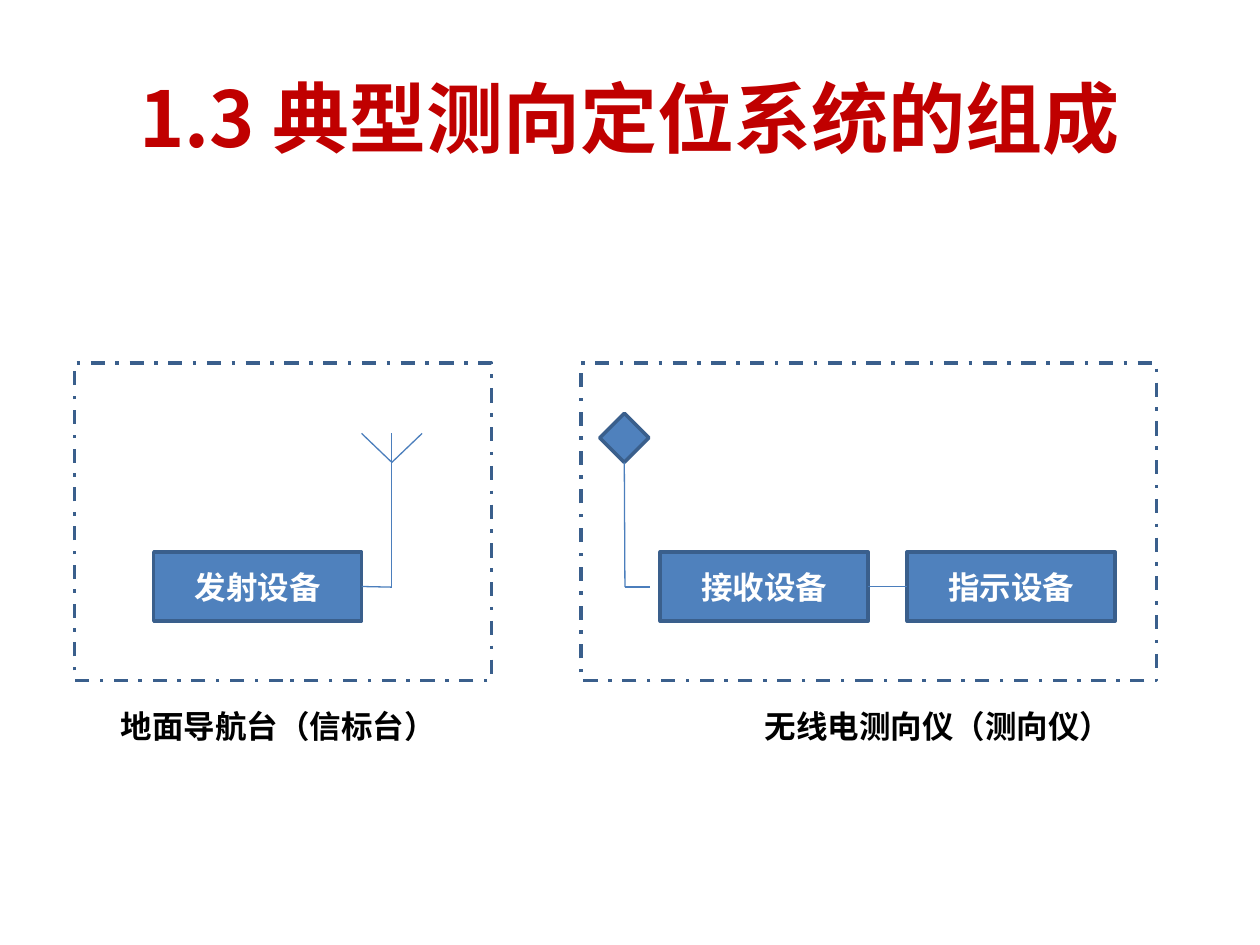
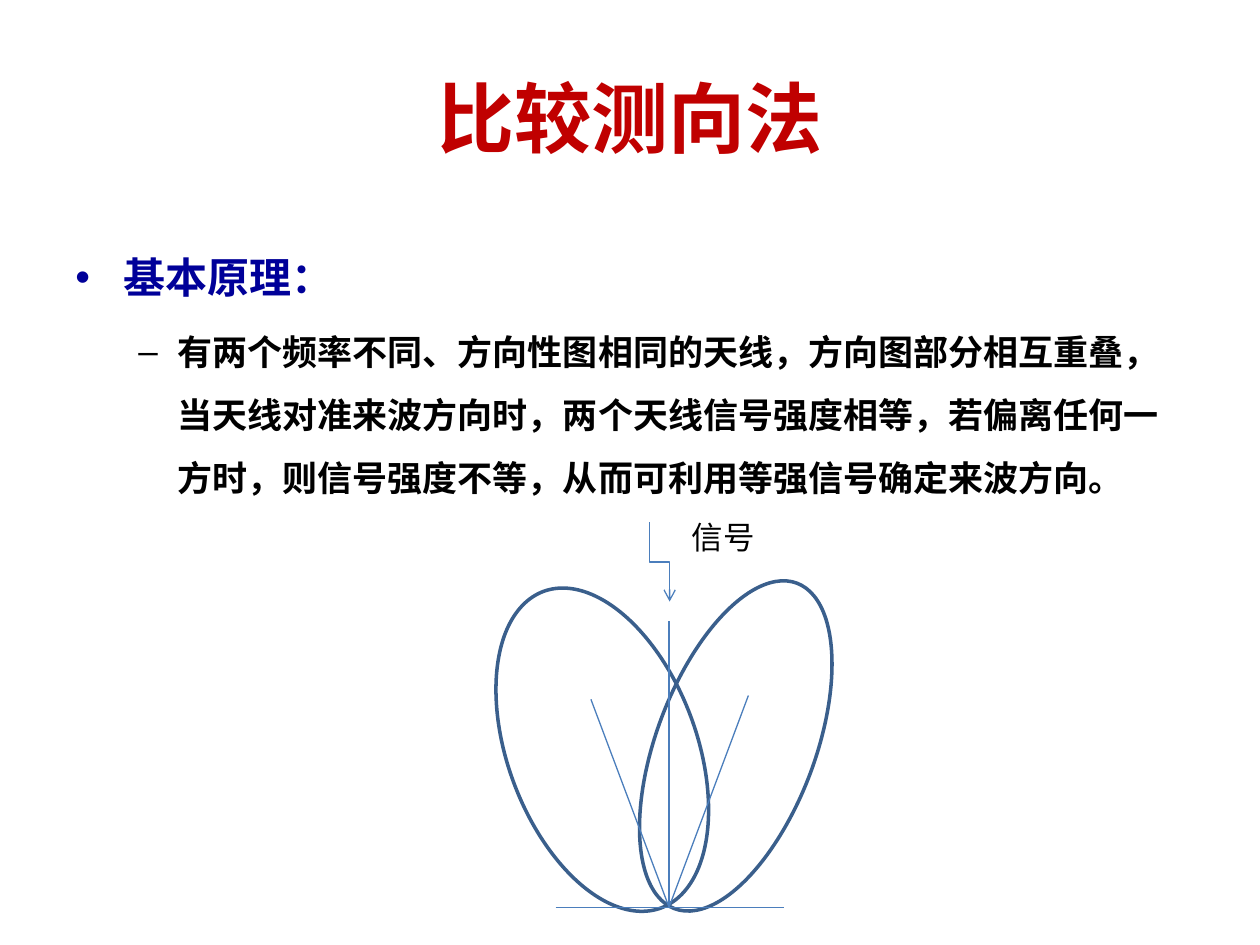
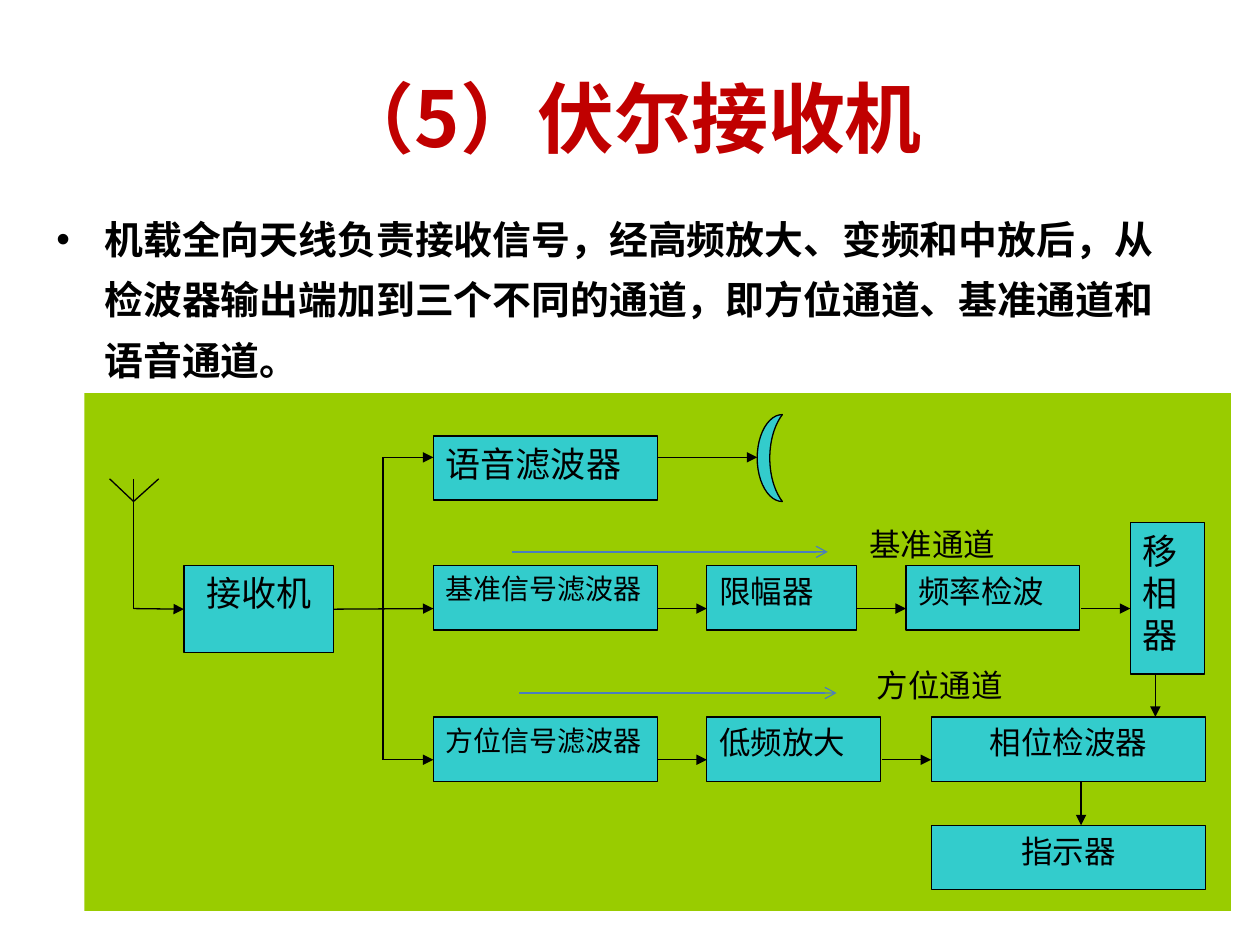
from lxml import etree
from pptx import Presentation
from pptx.dml.color import RGBColor
from pptx.enum.dml import MSO_LINE
from pptx.enum.shapes import MSO_CONNECTOR, MSO_SHAPE
from pptx.enum.text import MSO_ANCHOR, PP_ALIGN
from pptx.oxml.ns import qn
from pptx.util import Inches, Pt

RECTANGLE, DIAMOND, OVAL, MOON = MSO_SHAPE.RECTANGLE, MSO_SHAPE.DIAMOND, MSO_SHAPE.OVAL, MSO_SHAPE.MOON
STRAIGHT, ELBOW = MSO_CONNECTOR.STRAIGHT, MSO_CONNECTOR.ELBOW
LEFT, CENTER, JUSTIFY = PP_ALIGN.LEFT, PP_ALIGN.CENTER, PP_ALIGN.JUSTIFY
TOP, MIDDLE = MSO_ANCHOR.TOP, MSO_ANCHOR.MIDDLE
DASH_DOT = MSO_LINE.DASH_DOT
BOTTOM_SIDE, LEFT_SIDE, RIGHT_SIDE = 2, 1, 3


class Theme:
    title_red = RGBColor(0xC0, 0x00, 0x00)
    heading_blue = RGBColor(0x00, 0x00, 0x99)
    black = RGBColor(0x00, 0x00, 0x00)
    white = RGBColor(0xFF, 0xFF, 0xFF)
    box_blue = RGBColor(0x4F, 0x81, 0xBD)
    border_blue = RGBColor(0x3A, 0x5F, 0x8C)
    line_blue = RGBColor(0x4B, 0x7E, 0xBC)
    panel_green = RGBColor(0x99, 0xCC, 0x00)
    block_cyan = RGBColor(0x33, 0xCC, 0xCC)
    chinese, latin, serif = "Noto Sans CJK SC", "Calibri", "Times New Roman"
    title_size, heading_size, summary_size, detail_size = 44, 24, 22.2, 20
    large_size, label_size, small_size = 20, 18, 16
    thin, thick = Pt(0.75), Pt(2)


def add_item(slide, preset, box, text="", fill=None, border=None, width=Theme.thick, size=Theme.label_size,
             font=Theme.chinese, color=Theme.black, bold=False, align=LEFT, anchor=TOP):
    """Add a preset shape, or an unwrapped text box when preset is None."""
    position = [Inches(length) for length in box]
    if preset is None:
        shape = slide.shapes.add_textbox(*position)
    else:
        shape = slide.shapes.add_shape(preset, *position)
        shape.shadow.inherit = False
        if fill is None:
            shape.fill.background()
        else:
            shape.fill.solid()
            shape.fill.fore_color.rgb = fill
        if border is None:
            shape.line.fill.background()
        else:
            shape.line.color.rgb = border
            shape.line.width = width
    if text:
        frame = shape.text_frame
        frame.word_wrap = preset is not None
        frame.vertical_anchor = anchor
        frame.text = text
        frame.paragraphs[0].alignment = align
        run_font = frame.paragraphs[0].runs[0].font
        run_font.size, run_font.bold, run_font.name = Pt(size), bold, font
        run_font.color.rgb = color
    return shape


def add_line(slide, start, end, color=Theme.line_blue, head=None, kind=STRAIGHT, begin=None, finish=None):
    """Add a connector; begin and finish are (shape, side) pairs to join."""
    line = slide.shapes.add_connector(kind, *[Inches(length) for length in (*start, *end)])
    if begin:
        line.begin_connect(*begin)
    if finish:
        line.end_connect(*finish)
    line.line.color.rgb = color
    line.line.width = Theme.thin
    properties = line._element.spPr
    if head:
        etree.SubElement(properties.find(qn("a:ln")), qn("a:tailEnd"), type=head)
    etree.SubElement(properties, qn("a:effectLst"))
    return line


presentation = Presentation()
presentation.slide_width, presentation.slide_height = Inches(10), Inches(7.5)

slides = []
for title_text in ("1.3 典型测向定位系统的组成", "比较测向法", "（5）伏尔接收机"):
    slide = presentation.slides.add_slide(presentation.slide_layouts[5])
    title = slide.shapes.title
    title.left, title.top, title.width, title.height = [Inches(length) for length in (0.5, 0.3, 9, 1.25)]
    title.text_frame.text = title_text
    title.text_frame.vertical_anchor = MIDDLE
    title.text_frame.paragraphs[0].alignment = CENTER
    title_font = title.text_frame.paragraphs[0].runs[0].font
    title_font.size, title_font.bold, title_font.name = Pt(Theme.title_size), True, Theme.chinese
    title_font.color.rgb = Theme.title_red
    slides.append(slide)
system_slide, comparison_slide, receiver_slide = slides

# Bulleted text: (text, size, colour, left margin, hanging indent, bullet, line spacing)
bodies = [
    (comparison_slide, (0.5, 1.75, 9, 4.95), [
        ("基本原理：", Theme.heading_size, Theme.heading_blue, 0.38, 0.38, "•", 1.5),
        ("有两个频率不同、方向性图相同的天线，方向图部分相互重叠，当天线对准来波方向时，"
         "两个天线信号强度相等，若偏离任何一方时，则信号强度不等，从而可利用等强信号确定来波方向。",
         Theme.detail_size, Theme.black, 0.81, 0.31, "–", 1.5)]),
    (receiver_slide, (0.35, 1.55, 9.13, 1.54), [
        ("机载全向天线负责接收信号，经高频放大、变频和中放后，从检波器输出端加到三个不同的通道，"
         "即方位通道、基准通道和语音通道。",
         Theme.summary_size, Theme.black, 0.38, 0.38, "•", 1.3)]),
]
for slide, box, paragraphs in bodies:
    frame = slide.shapes.add_textbox(*[Inches(length) for length in box]).text_frame
    frame.word_wrap = True
    frame.text = "\n".join(entry[0] for entry in paragraphs)
    for paragraph, (_, size, color, margin, hanging, bullet, spacing) in zip(frame.paragraphs, paragraphs):
        paragraph.line_spacing = spacing
        paragraph.space_before = Pt(size * 0.2)
        font = paragraph.runs[0].font
        font.size, font.bold, font.name = Pt(size), True, Theme.chinese
        font.color.rgb = color
        properties = paragraph._p.get_or_add_pPr()
        properties.set("marL", str(Inches(margin)))
        properties.set("indent", str(-Inches(hanging)))
        etree.SubElement(properties, qn("a:buFont"), typeface="Arial")
        etree.SubElement(properties, qn("a:buChar"), char=bullet)

# Slide 1: ground station and direction finder
for left, width, caption, caption_left, caption_width in (
        (0.59, 3.31, "地面导航台（信标台）", 0.86, 2.73),
        (4.61, 4.57, "无线电测向仪（测向仪）", 5.97, 2.98)):
    station = add_item(system_slide, RECTANGLE, (left, 2.88, width, 2.52), border=Theme.border_blue)
    station.line.dash_style = DASH_DOT
    add_item(system_slide, None, (caption_left, 5.56, caption_width, 0.4), caption, bold=True)

transmitter, receiver, indicator = [
    add_item(system_slide, RECTANGLE, (left, 4.38, 1.65, 0.55), text, Theme.box_blue, Theme.border_blue,
             color=Theme.white, bold=True, align=CENTER, anchor=MIDDLE)
    for left, text in ((1.22, "发射设备"), (5.24, "接收设备"), (7.2, "指示设备"))]
loop_antenna = add_item(system_slide, DIAMOND, (4.76, 3.28, 0.39, 0.39), fill=Theme.box_blue,
                        border=Theme.border_blue)

add_line(system_slide, (2.87, 4.66), (3.11, 4.66), begin=(transmitter, RIGHT_SIDE))
add_line(system_slide, (3.11, 4.66), (3.11, 3.44))
for tip in (2.87, 3.35):
    add_line(system_slide, (3.11, 3.67), (tip, 3.44))
add_line(system_slide, (4.96, 3.67), (4.96, 4.66), begin=(loop_antenna, BOTTOM_SIDE))
add_line(system_slide, (4.96, 4.66), (5.16, 4.66))
add_line(system_slide, (6.89, 4.66), (7.2, 4.66), begin=(receiver, RIGHT_SIDE), finish=(indicator, LEFT_SIDE))

# Slide 2: two overlapping antenna patterns
for box, rotation in (((3.44, 5.2, 2.68, 1.5), 69.6), ((4.46, 5.29, 2.76, 1.26), 290.6)):
    add_item(comparison_slide, OVAL, box, border=Theme.border_blue).rotation = rotation
antenna = (5.31, 7.2)
add_line(comparison_slide, (4.41, 7.2), (6.22, 7.2))
for axis_end in ((5.31, 4.93), (4.69, 5.55), (5.94, 5.52)):
    add_line(comparison_slide, antenna, axis_end)
signal_arrow = add_line(comparison_slide, (5.55, 4.38), (4.92, 4.54), head="arrow", kind=ELBOW)
signal_arrow._element.spPr.find(qn("a:xfrm")).set("rot", str(270 * 60000))
add_item(comparison_slide, None, (5.39, 4.06, 0.71, 0.4), "信号", font=Theme.latin)

# Slide 3: receiver block diagram
add_item(receiver_slide, RECTANGLE, (0.67, 3.12, 9.1, 4.11), fill=Theme.panel_green)
voice_y, reference_y, bearing_y = 3.63, 4.83, 6.03
reference_top, bearing_top, block_height = 4.49, 5.69, 0.51
blocks = [
    ("接收机", 1.46, reference_top, 1.19, 0.69, Theme.large_size, CENTER),
    ("语音滤波器", 3.44, 3.46, 1.78, block_height, Theme.large_size, JUSTIFY),
    ("基准信号滤波器", 3.44, reference_top, 1.78, block_height, Theme.small_size, JUSTIFY),
    ("方位信号滤波器", 3.44, bearing_top, 1.78, block_height, Theme.small_size, JUSTIFY),
    ("限幅器", 5.61, reference_top, 1.19, block_height, Theme.label_size, JUSTIFY),
    ("频率检波", 7.19, reference_top, 1.38, block_height, Theme.label_size, JUSTIFY),
    ("移相器", 8.97, 4.15, 0.59, 1.2, Theme.large_size, JUSTIFY),
    ("低频放大", 5.61, bearing_top, 1.38, block_height, Theme.label_size, JUSTIFY),
    ("相位检波器", 7.39, bearing_top, 2.18, block_height, Theme.label_size, CENTER),
    ("指示器", 7.39, 6.55, 2.18, block_height, Theme.label_size, CENTER),
]
block_shapes = {
    text: add_item(receiver_slide, RECTANGLE, box, text, Theme.block_cyan, Theme.black, Theme.thin,
                   size, Theme.serif, align=align)
    for text, *box, size, align in blocks}
add_item(receiver_slide, MOON, (6.01, 3.29, 0.2, 0.69), fill=Theme.block_cyan, border=Theme.black,
         width=Theme.thin)

for start, end in (((0.87, 3.8), (1.06, 3.98)), ((1.06, 3.98), (1.26, 3.8)), ((1.06, 3.8), (1.06, reference_y)),
                   ((3.04, reference_y), (3.04, voice_y)), ((3.04, reference_y), (3.04, bearing_y))):
    add_line(receiver_slide, start, end, Theme.black)

receiver_block = block_shapes["接收机"]
add_line(receiver_slide, (1.06, reference_y), (1.46, reference_y), Theme.black, "triangle",
         finish=(receiver_block, LEFT_SIDE))
add_line(receiver_slide, (2.65, reference_y), (3.44, reference_y), Theme.black, "triangle",
         begin=(receiver_block, RIGHT_SIDE))
for y, spans in ((voice_y, ((3.04, 3.44), (5.22, 6.01))),
                 (reference_y, ((5.22, 5.61), (6.8, 7.19), (8.58, 8.97))),
                 (bearing_y, ((3.04, 3.44), (5.22, 5.61), (7, 7.39)))):
    for start_x, end_x in spans:
        add_line(receiver_slide, (start_x, y), (end_x, y), Theme.black, "triangle")
for x, start_y, end_y in ((9.17, 5.35, 5.69), (8.58, 6.2, 6.55)):
    add_line(receiver_slide, (x, start_y), (x, end_y), Theme.black, "triangle")

for channel, start_x, end_x, y, label_left in (("基准通道", 4.06, 6.57, 4.38, 6.8),
                                               ("方位通道", 4.12, 6.64, 5.5, 6.86)):
    add_line(receiver_slide, (start_x, y), (end_x, y), head="arrow")
    add_item(receiver_slide, None, (label_left, y - 0.26, 1.21, 0.4), channel, font=Theme.latin)

# Chinese characters use the same East Asian font everywhere
for slide in slides:
    for run_properties in slide.shapes._spTree.iter(qn("a:rPr")):
        etree.SubElement(run_properties, qn("a:ea"), typeface=Theme.chinese)

presentation.save("out.pptx")
